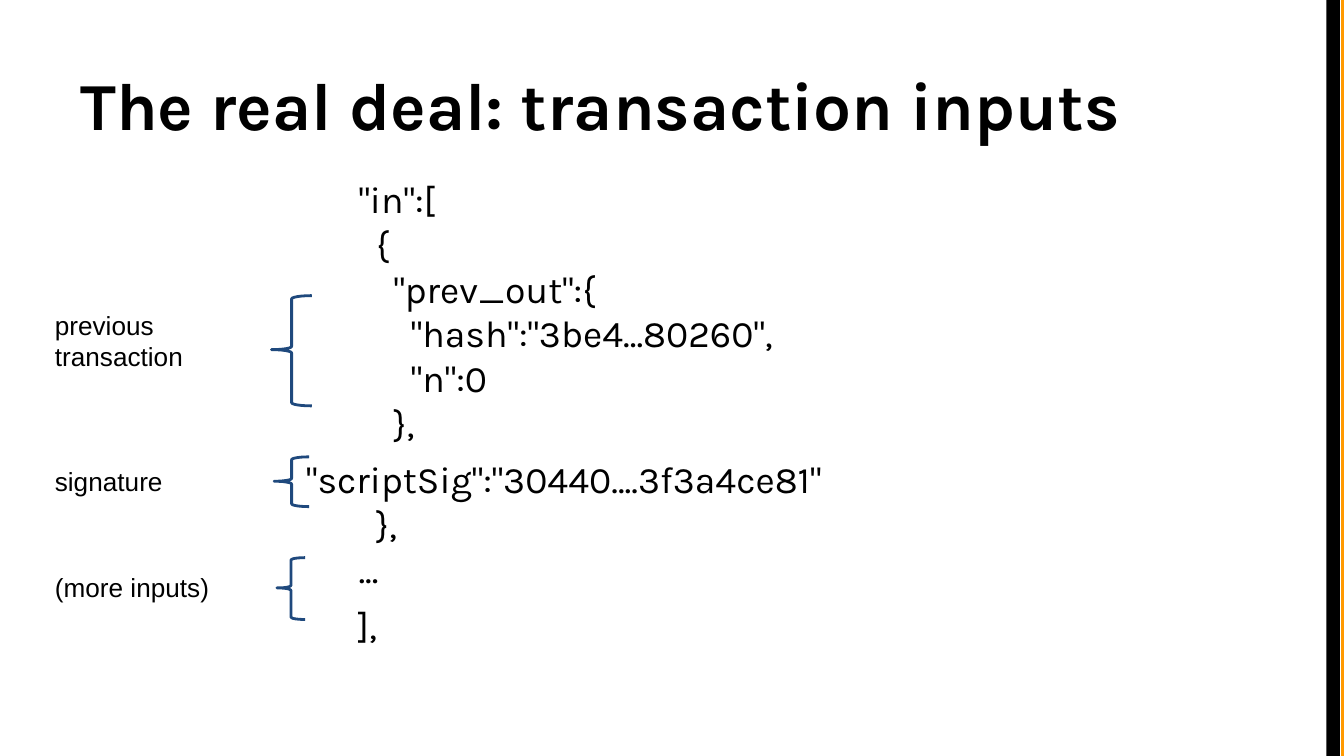
"""Build the slide on transaction inputs."""
from dataclasses import dataclass

from pptx import Presentation as Deck
from pptx.dml.color import RGBColor as Rgb
from pptx.enum.shapes import MSO_SHAPE as Kind
from pptx.enum.text import MSO_ANCHOR as Anchor
from pptx.util import Inches, Pt

WIDTH = 10
HEIGHT = WIDTH * 9 / 16
STEP = 0.13
HUES = {"ink": "000000", "edge": "FF9900", "brace": "1F497D"}
TITLE = {"name": "Karla", "size": Pt(36), "bold": True}
CODE = {"name": "Karla", "size": Pt(20), "bold": False}
NOTE = {"name": "Arial", "size": Pt(14), "bold": False}
FRAME = {"word_wrap": True} | {
    f"margin_{side}": Inches(0.1) for side in ("left", "top", "right", "bottom")
}


@dataclass
class Box:
    left: float
    top: float
    width: float
    height: float

    def place(self) -> list[int]:
        return [Inches(n) for n in (self.left, self.top, self.width, self.height)]


@dataclass
class Line:
    text: str
    depth: int = 0
    gap: int = 0


@dataclass
class Mark:
    lines: list[str]
    label: Box
    brace: Box


BARS = [("edge", 9.98), ("ink", 9.87)]
SCRIPT = [
    Line('"in":[', 3, 6),
    Line("{", 4),
    Line('"prev_out":{', 5),
    Line('"hash":"3be4...80260",', 6),
    Line('"n":0', 6),
    Line("},", 5),
    Line('"scriptSig":"30440....3f3a4ce81"', 0, 6),
    Line("},", 4),
    Line("...", 3),
    Line("],", 3, 6),
]
MARKS = [
    Mark(["previous", "transaction"], Box(0.31, 2.2, 1.28, 0.63), Box(2.02, 2.2, 0.3, 0.82)),
    Mark(["signature"], Box(0.31, 3.36, 1.28, 0.46), Box(2.04, 3.4, 0.26, 0.37)),
    Mark(["(more inputs)"], Box(0.31, 4.15, 1.45, 0.57), Box(2.06, 4.15, 0.21, 0.46)),
]


def hue(name: str) -> Rgb:
    return Rgb.from_string(HUES[name])


def apply(item, style: dict) -> None:
    for key, value in style.items():
        setattr(item, key, value)


def write(slide, box: Box, lines: list[Line], font: dict, anchor=Anchor.TOP) -> None:
    frame = slide.shapes.add_textbox(*box.place()).text_frame
    apply(frame, FRAME | {"vertical_anchor": anchor})
    for i, line in enumerate(lines):
        para = frame.add_paragraph() if i else frame.paragraphs[0]
        para.space_before = Pt(line.gap)
        props = para._p.get_or_add_pPr()
        props.set("marL", str(Inches(line.depth * STEP)))
        props.set("indent", "0")
        run = para.add_run()
        run.text = line.text
        apply(run.font, font)
        run.font.color.rgb = hue("ink")


def bar(slide, box: Box, name: str) -> None:
    shape = slide.shapes.add_shape(Kind.RECTANGLE, *box.place())
    shape.shadow.inherit = False
    shape.fill.solid()
    shape.fill.fore_color.rgb = hue(name)
    shape.line.fill.background()


def brace(slide, box: Box) -> None:
    shape = slide.shapes.add_shape(Kind.LEFT_BRACE, *box.place())
    shape.shadow.inherit = False
    shape.fill.background()
    shape.line.color.rgb = hue("brace")
    shape.line.width = Pt(1.5)
    shape.adjustments[0] = 0.08
    shape.adjustments[1] = 0.49


def main() -> None:
    deck = Deck()
    apply(deck, {"slide_width": Inches(WIDTH), "slide_height": Inches(HEIGHT)})
    slide = deck.slides.add_slide(deck.slide_layouts[6])
    for name, left in BARS:
        bar(slide, Box(left, 0, 0.1, HEIGHT), name)
    title = [Line("The real deal: transaction inputs")]
    write(slide, Box(0.5, 0.23, 9, 0.94), title, TITLE, Anchor.BOTTOM)
    write(slide, Box(2.18, 1.21, 9, 4.51), SCRIPT, CODE)
    for mark in MARKS:
        brace(slide, mark.brace)
        write(slide, mark.label, [Line(text) for text in mark.lines], NOTE)
    deck.save("out.pptx")


if __name__ == "__main__":
    main()
